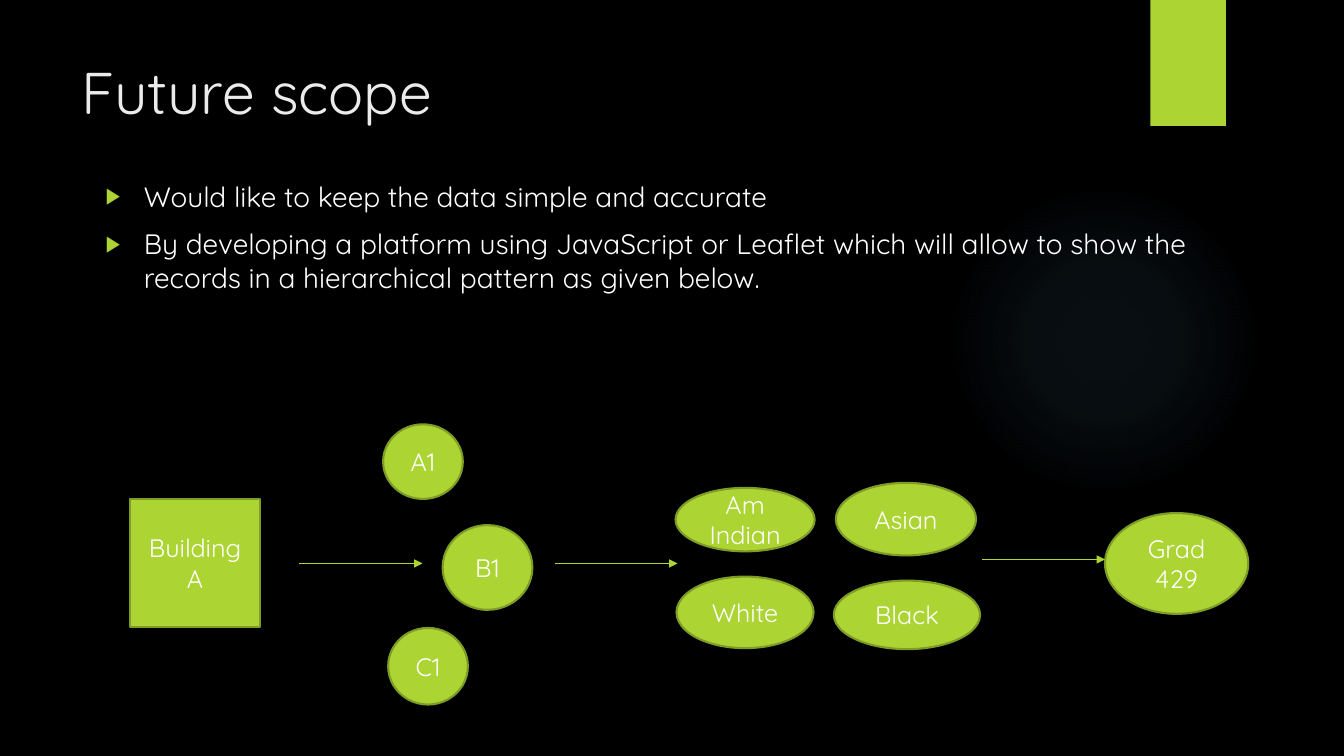
from lxml import etree
from pptx import Presentation
from pptx.dml.color import RGBColor
from pptx.enum.shapes import MSO_CONNECTOR, MSO_SHAPE
from pptx.enum.text import MSO_ANCHOR, MSO_AUTO_SIZE, PP_ALIGN
from pptx.oxml import parse_xml
from pptx.oxml.ns import nsdecls, qn
from pptx.util import Inches, Pt

COLORS = {
    "background": "000000",
    "title": "EBEBEB",
    "text": "FFFFFF",
    "accent": "ACD433",
    "outline": "7F9D26",
    "glow": "7AC4F0",
}
FONT = "Quicksand"
TOP_FRAME = {
    "word_wrap": True,
    "auto_size": MSO_AUTO_SIZE.NONE,
    "vertical_anchor": MSO_ANCHOR.TOP,
}
NODE_FRAME = {**TOP_FRAME, "vertical_anchor": MSO_ANCHOR.MIDDLE}

BULLETS = [
    "Would like to keep the data simple and accurate",
    "By developing a platform using JavaScript or Leaflet which will allow "
    "to show the records in a hierarchical pattern as given below.",
]
BUILDING = ("Building A", (1.29, 4.95, 1.29, 1.27))
CIRCLES = [
    ("B1", (4.39, 5.21, 0.89, 0.84)),
    ("C1", (3.85, 6.23, 0.79, 0.76)),
    ("A1", (3.8, 4.21, 0.79, 0.74)),
    ("Am Indian", (6.7, 4.84, 1.38, 0.63)),
    ("Asian", (8.29, 4.79, 1.39, 0.72)),
    ("White", (6.71, 5.72, 1.36, 0.71)),
    ("Black", (8.27, 5.76, 1.45, 0.68)),
    ("Grad\n429", (10.96, 5.09, 1.42, 1)),
]
ARROW_STARTS = [(2.97, 5.59), (5.5, 5.59), (9.74, 5.55)]
ARROW_LENGTH = 1.22


def rgb(name):
    return RGBColor.from_string(COLORS[name])


def apply(target, values):
    for name, value in values.items():
        setattr(target, name, value)


def style_text(paragraph, size, color, align=PP_ALIGN.LEFT):
    paragraph.alignment = align
    apply(paragraph.font, {"name": FONT, "size": Pt(size)})
    paragraph.font.color.rgb = rgb(color)


def add_plain_shape(slide, kind, box):
    shape = slide.shapes.add_shape(kind, *map(Inches, box))
    shape.shadow.inherit = False
    shape.fill.solid()
    shape.fill.fore_color.rgb = rgb("accent")
    shape.line.fill.background()
    return shape


def add_glow(slide):
    glow = add_plain_shape(slide, MSO_SHAPE.OVAL, (9.41, 1.83, 3.08, 3.08))
    stops = "".join(
        f'<a:gs pos="{position * 1000}"><a:srgbClr val="{COLORS["glow"]}">'
        f'<a:alpha val="{opacity * 1000}"/></a:srgbClr></a:gs>'
        for position, opacity in [(0, 7), (36, 6), (69, 0)]
    )
    gradient = parse_xml(
        f'<a:gradFill {nsdecls("a")} rotWithShape="1"><a:gsLst>{stops}</a:gsLst>'
        '<a:path path="circle"><a:fillToRect l="50000" t="50000" r="50000" b="50000"/>'
        "</a:path></a:gradFill>"
    )
    properties = glow.element.spPr
    properties.replace(properties.find(qn("a:solidFill")), gradient)


def add_title(slide, text):
    title = slide.shapes.title
    left, top, width, height = map(Inches, (0.71, 0.5, 10.29, 1.53))
    apply(title, {"left": left, "top": top, "width": width, "height": height})
    title.text_frame.text = text
    apply(title.text_frame, TOP_FRAME)
    style_text(title.text_frame.paragraphs[0], 42, "title")


def add_bullet(paragraph):
    properties = paragraph._p.get_or_add_pPr()
    properties.set("marL", str(Inches(0.38)))
    properties.set("indent", str(-Inches(0.38)))
    color = etree.SubElement(properties, qn("a:buClr"))
    etree.SubElement(color, qn("a:srgbClr"), val=COLORS["accent"])
    etree.SubElement(properties, qn("a:buSzPct"), val="80000")
    etree.SubElement(properties, qn("a:buFont"), typeface="Arial")
    etree.SubElement(properties, qn("a:buChar"), char="▶")


def add_bullets(slide, lines):
    frame = slide.shapes.add_textbox(*map(Inches, (0.95, 1.73, 11.84, 5.08))).text_frame
    frame.text = "\n".join(lines)
    apply(frame, TOP_FRAME)
    for paragraph in frame.paragraphs:
        style_text(paragraph, 20, "text")
        paragraph.space_before = Pt(10)
        add_bullet(paragraph)


def add_node(slide, kind, label, box):
    node = add_plain_shape(slide, kind, box)
    node.line.color.rgb = rgb("outline")
    node.line.width = Pt(1.5)
    node.text_frame.text = label
    apply(node.text_frame, NODE_FRAME)
    for paragraph in node.text_frame.paragraphs:
        style_text(paragraph, 18, "text", PP_ALIGN.CENTER)


def add_arrow(slide, x, y):
    ends = map(Inches, (x, y, x + ARROW_LENGTH, y))
    arrow = slide.shapes.add_connector(MSO_CONNECTOR.STRAIGHT, *ends)
    arrow.line.color.rgb = rgb("accent")
    arrow.line.width = Pt(0.75)
    etree.SubElement(arrow.line._get_or_add_ln(), qn("a:tailEnd"), type="triangle")
    etree.SubElement(arrow.element.spPr, qn("a:effectLst"))


def main():
    deck = Presentation()
    apply(deck, {"slide_width": Inches(13.33), "slide_height": Inches(7.5)})
    slide = deck.slides.add_slide(deck.slide_layouts[5])
    slide.background.fill.solid()
    slide.background.fill.fore_color.rgb = rgb("background")

    add_glow(slide)
    add_plain_shape(slide, MSO_SHAPE.RECTANGLE, (11.41, 0, 0.75, 1.25))
    add_title(slide, "Future scope")
    add_bullets(slide, BULLETS)
    add_node(slide, MSO_SHAPE.RECTANGLE, *BUILDING)
    for label, box in CIRCLES:
        add_node(slide, MSO_SHAPE.OVAL, label, box)
    for x, y in ARROW_STARTS:
        add_arrow(slide, x, y)
    deck.save("out.pptx")


if __name__ == "__main__":
    main()
